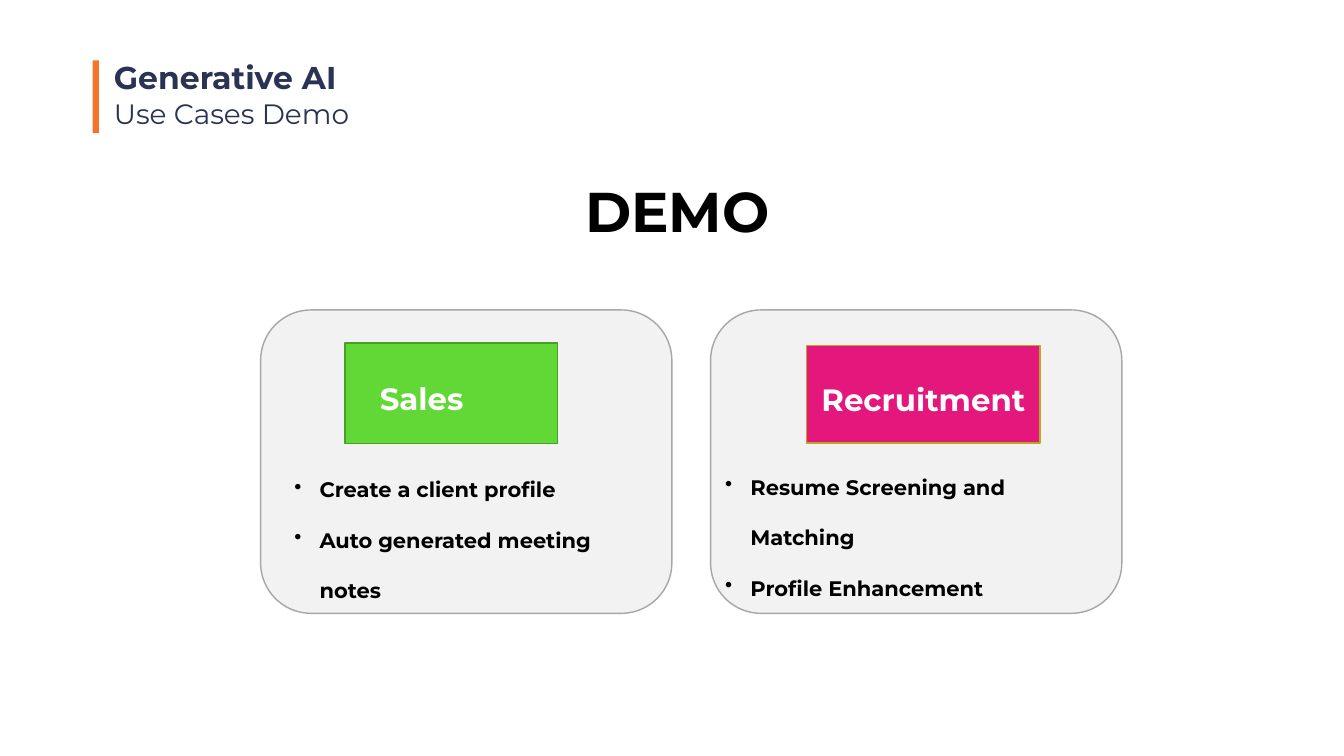
"""Build the Generative AI use cases demo slide."""
import pptx
import pptx.util
import pptx.dml.color
import pptx.enum.shapes
import pptx.enum.text
import lxml.etree

ORANGE = pptx.dml.color.RGBColor(0xF4, 0x74, 0x29)
NAVY = pptx.dml.color.RGBColor(0x2A, 0x33, 0x53)
BLACK = pptx.dml.color.RGBColor(0, 0, 0)
WHITE = pptx.dml.color.RGBColor(0xFF, 0xFF, 0xFF)
CARD_FILL = pptx.dml.color.RGBColor(0xF2, 0xF2, 0xF2)
CARD_EDGE = pptx.dml.color.RGBColor(0xA7, 0xA7, 0xA7)
GREEN = pptx.dml.color.RGBColor(0x61, 0xD8, 0x36)
GREEN_EDGE = pptx.dml.color.RGBColor(0x48, 0xA0, 0x28)
PINK = pptx.dml.color.RGBColor(0xE4, 0x17, 0x7D)
OLIVE = pptx.dml.color.RGBColor(0xB9, 0xA7, 0x25)
KIND = pptx.enum.shapes.MSO_SHAPE
ALIGN = pptx.enum.text.PP_ALIGN
MIDDLE = pptx.enum.text.MSO_ANCHOR.MIDDLE
TOP = pptx.enum.text.MSO_ANCHOR.TOP

deck = pptx.Presentation()
deck.slide_width = pptx.util.Inches(26.67)
deck.slide_height = pptx.util.Inches(15)
slide = deck.slides.add_slide(deck.slide_layouts[5])


def add_block(kind, area, fill, edge=None):
    """Add a filled shape whose area is in percent of the slide."""
    sides = (deck.slide_width, deck.slide_height) * 2
    block = slide.shapes.add_shape(kind, *[int(side * share / 100) for side, share in zip(sides, area)])
    block.shadow.inherit = False
    block.fill.solid()
    block.fill.fore_color.rgb = fill
    if edge is None:
        block.line.fill.background()
    else:
        block.line.color.rgb = edge
        block.line.width = pptx.util.Pt(2)
    return block


def write(holder, area, lines, size, color, bold=True, spacing=1, inset=0, anchor=MIDDLE, align=ALIGN.LEFT):
    """Place a text holder in percent of the slide and format its text."""
    width, height = deck.slide_width, deck.slide_height
    holder.left, holder.top, holder.width, holder.height = [
        int(side * share / 100) for side, share in zip((width, height) * 2, area)]
    frame = holder.text_frame
    frame.text = "\n".join(lines)
    frame.word_wrap = True
    frame.vertical_anchor = anchor
    frame.margin_left = frame.margin_right = pptx.util.Inches(inset)
    frame.margin_top = frame.margin_bottom = pptx.util.Inches(inset)
    for paragraph in frame.paragraphs:
        paragraph.alignment = align
        paragraph.line_spacing = float(spacing)
        for run in paragraph.runs:
            run.font.name = "Montserrat"
            run.font.size = pptx.util.Pt(size)
            run.font.bold = bold
            run.font.color.rgb = color
    return frame


add_block(KIND.RECTANGLE, (6.9, 8, 0.45, 9.6), ORANGE)
for card_left in (52.87, 19.39):
    add_block(KIND.ROUNDED_RECTANGLE, (card_left, 41, 30.6, 40.13), CARD_FILL, CARD_EDGE)

heading = write(slide.shapes.title, (8.25, 7.2, 83.46, 5.93), ["Generative AI"], 45, NAVY, inset=0.06)
heading.auto_size = pptx.enum.text.MSO_AUTO_SIZE.NONE
subtitle = slide.shapes.add_textbox(0, 0, 0, 0)
write(subtitle, (8.25, 12.93, 83.46, 4.87), ["Use Cases Demo"], 40, NAVY,
      bold=False, spacing=0.9, inset=0.06, anchor=TOP)
banner = slide.shapes.add_textbox(0, 0, 0, 0)
banner_frame = write(banner, (42.07, 14.07, 15.82, 16), ["DEMO"], 80, BLACK, spacing=2, inset=0.05, anchor=TOP)
banner_frame.margin_left = pptx.util.Inches(0.39)

use_cases = [
    ((21.9, 63, 26.55, 13.47), ["Create a client profile", "Auto generated meeting notes"]),
    ((53.96, 62.67, 28.5, 13.47), ["Resume Screening and Matching", "Profile Enhancement"]),
]
for area, cases in use_cases:
    case_list = write(slide.shapes.add_textbox(0, 0, 0, 0), area, cases, 30, BLACK, spacing=2)
    case_list.auto_size = pptx.enum.text.MSO_AUTO_SIZE.SHAPE_TO_FIT_TEXT
    for paragraph in case_list.paragraphs:
        properties = paragraph.alignment is not None and paragraph._p.get_or_add_pPr()
        indent = pptx.util.Inches(0.5)
        properties.set("marL", str(indent))
        properties.set("indent", str(-indent))
        bullet = lxml.etree.SubElement(properties, pptx.oxml.ns.qn("a:buChar"))
        bullet.set("char", "•")

departments = [
    ("Sales", (25.68, 45.4, 15.82, 13.27), GREEN, GREEN_EDGE, 1.18),
    ("Recruitment", (60.03, 45.73, 17.36, 12.87), PINK, OLIVE, 0),
]
for department, area, fill, edge, right_inset in departments:
    label = add_block(KIND.RECTANGLE, area, fill, edge)
    label_frame = write(label, area, [department], 44, WHITE, align=ALIGN.CENTER)
    label_frame.margin_right = pptx.util.Inches(right_inset)
    label_frame.margin_top = pptx.util.Inches(0.2)

deck.save("out.pptx")
